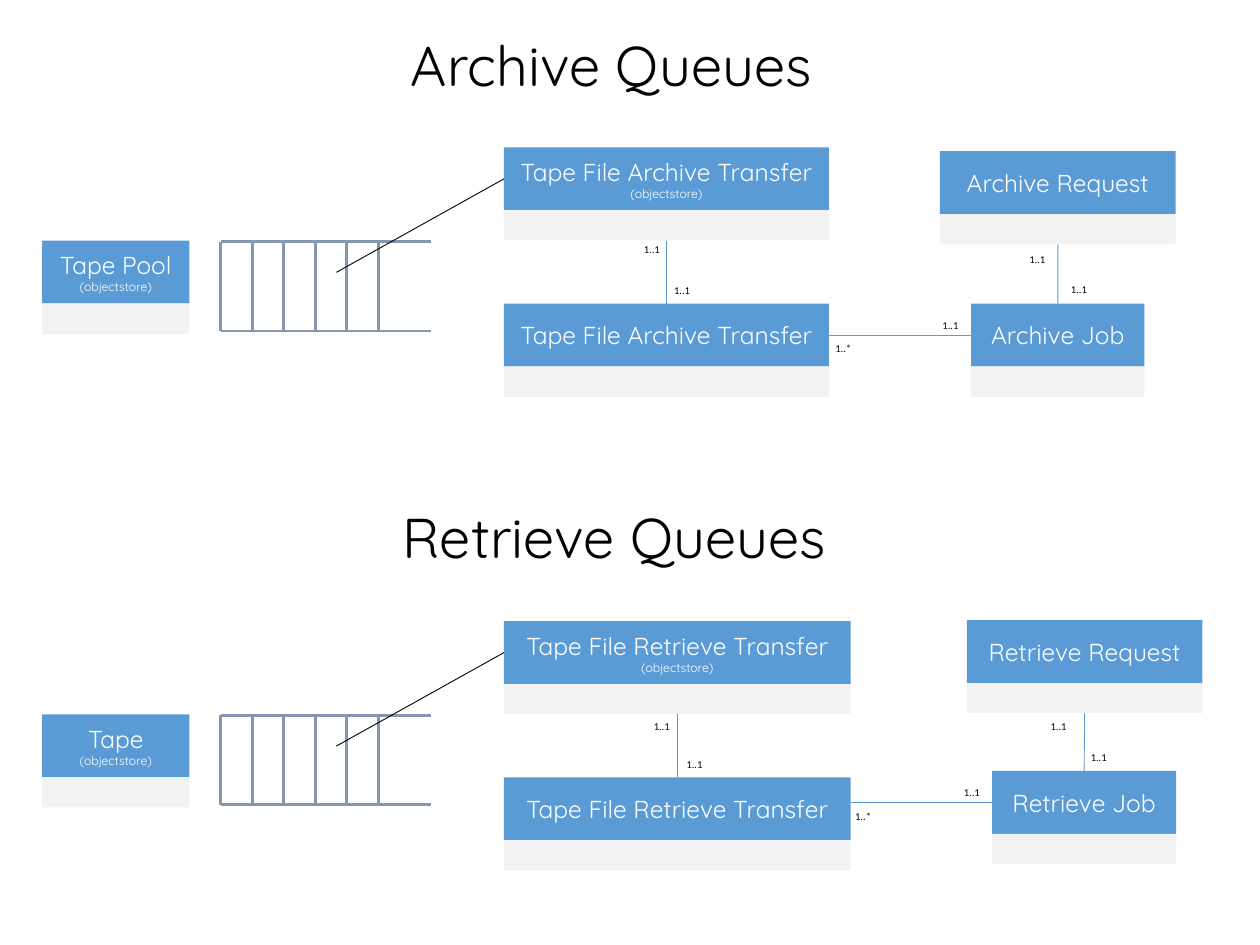
from dataclasses import dataclass

from lxml import etree
from pptx import Presentation
from pptx import util as u
from pptx.dml.color import RGBColor
from pptx.enum import shapes, text
from pptx.oxml.ns import qn

BLACK = RGBColor(0x00, 0x00, 0x00)
WHITE = RGBColor(0xFF, 0xFF, 0xFF)
BLUE = RGBColor(0x5B, 0x9B, 0xD5)
PALE = RGBColor(0xF2, 0xF2, 0xF2)
SLATE = RGBColor(0x84, 0x97, 0xB0)
HEADING_FONT, LABEL_FONT = "Quicksand", "Calibri"

# All lengths are in centimetres
HEAD_HEIGHT, BODY_HEIGHT = 1.27, 0.61
POOL_LEFT, POOL_WIDTH = 0.85, 2.97
TRANSFER_LEFT, REQUEST_WIDTH = 10.16, 4.75
QUEUE_LEFT, QUEUE_WIDTH, QUEUE_HEIGHT = 4.45, 4.24, 1.8
SLOT_WIDTH, SLOT_LINES = 0.635, 6


@dataclass
class Section:
    kind: str
    pool: str
    title_box: tuple      # left, top, width
    top: float            # top of the stored transfer
    transfer_width: float
    request: tuple        # left, top
    job: tuple            # left, top, width
    labels: list          # wording, left, top


SECTIONS = [
    Section("Archive", "Tape Pool", (8.03, 0.48, 9.35), 2.97, 6.55,
            (18.95, 3.05), (19.58, 6.12, 3.49),
            [("1..1", 12.73, 4.78), ("1..1", 13.34, 5.61),
             ("1..1", 18.75, 6.3), ("1..*", 16.59, 6.78),
             ("1..1", 21.34, 5.59), ("1..1", 20.5, 4.98)]),
    Section("Retrieve", "Tape", (7.87, 10.01, 9.63), 12.52, 6.99,
            (19.49, 12.5), (20, 15.54, 3.71),
            [("1..1", 12.93, 14.4), ("1..1", 13.59, 15.16),
             ("1..1", 19.18, 15.72), ("1..*", 16.99, 16.21),
             ("1..1", 21.74, 15.01), ("1..1", 20.93, 14.4)]),
]


def add_span(para, wording, size, font, color):
    span = para.add_run()
    span.text = wording
    span.font.size = u.Pt(size)
    span.font.name = font
    span.font.color.rgb = color


def fill_text(box, wording, size, font):
    """Write one left-aligned line in a box that grows with its text."""
    frame = box.text_frame
    frame.word_wrap = False
    frame.auto_size = text.MSO_AUTO_SIZE.SHAPE_TO_FIT_TEXT
    para = frame.paragraphs[0]
    para.alignment = text.PP_ALIGN.LEFT
    add_span(para, wording, size, font, BLACK)


def add_text(page, wording, left, top, width, height, size, font):
    box = page.shapes.add_textbox(u.Cm(left), u.Cm(top), u.Cm(width), u.Cm(height))
    fill_text(box, wording, size, font)


def add_title(page, section):
    left, top, width = section.title_box
    wording, height = f"{section.kind} Queues", 1.63
    title = page.shapes.title
    if title.text_frame.text:  # the title placeholder is already taken
        add_text(page, wording, left, top, width, height, 32, HEADING_FONT)
        return
    title.left, title.top = u.Cm(left), u.Cm(top)
    title.width, title.height = u.Cm(width), u.Cm(height)
    fill_text(title, wording, 32, HEADING_FONT)


def add_line(page, start, end, color, width):
    line = page.shapes.add_connector(
        shapes.MSO_CONNECTOR.STRAIGHT, *(u.Cm(value) for value in (*start, *end)))
    line.line.color.rgb = color
    line.line.width = u.Pt(width)
    etree.SubElement(line._element.spPr, qn("a:effectLst"))
    return line


def join(page, first, first_side, second, second_side):
    line = add_line(page, (0, 0), (1, 1), BLUE, 0.5)
    line.begin_connect(first, first_side)
    line.end_connect(second, second_side)


def add_rect(page, left, top, width, height, color):
    rect = page.shapes.add_shape(
        shapes.MSO_SHAPE.RECTANGLE, u.Cm(left), u.Cm(top), u.Cm(width), u.Cm(height))
    rect.shadow.inherit = False
    rect.fill.solid()
    rect.fill.fore_color.rgb = color
    rect.line.fill.background()
    return rect


def add_entity(page, name, left, top, width, stored=False):
    """Draw a class box and return its head and body."""
    head = add_rect(page, left, top, width, HEAD_HEIGHT, BLUE)
    body = add_rect(page, left, top + HEAD_HEIGHT, width, BODY_HEIGHT, PALE)
    frame = head.text_frame
    frame.word_wrap = True
    frame.vertical_anchor = text.MSO_ANCHOR.MIDDLE
    para = frame.paragraphs[0]
    para.alignment = text.PP_ALIGN.CENTER
    add_span(para, name, 14, HEADING_FONT, WHITE)
    if stored:
        para = frame.add_paragraph()
        para.alignment = text.PP_ALIGN.CENTER
        add_span(para, "(objectstore)", 7, HEADING_FONT, WHITE)
    return head, body


def add_queue(page, top):
    bottom = top + QUEUE_HEIGHT
    for y in (top, bottom):
        add_line(page, (QUEUE_LEFT, y), (QUEUE_LEFT + QUEUE_WIDTH, y), SLATE, 1.5)
    for slot in range(SLOT_LINES):
        x = QUEUE_LEFT + slot * SLOT_WIDTH
        add_line(page, (x, top), (x, bottom), SLATE, 1.5)


def add_section(page, section):
    kind, top, width = section.kind, section.top, section.transfer_width
    transfer_top = top + 3.15
    job_left, job_top, job_width = section.job
    add_title(page, section)
    add_queue(page, top + 1.9)

    # Class boxes
    add_entity(page, section.pool, POOL_LEFT, top + 1.88, POOL_WIDTH, stored=True)
    transfer_name = f"Tape File {kind} Transfer"
    stored, stored_body = add_entity(
        page, transfer_name, TRANSFER_LEFT, top, width, stored=True)
    transfer, _ = add_entity(page, transfer_name, TRANSFER_LEFT, transfer_top, width)
    job, _ = add_entity(page, f"{kind} Job", job_left, job_top, job_width)
    _, request_body = add_entity(
        page, f"{kind} Request", *section.request, REQUEST_WIDTH)

    # Relations
    pointer = add_line(page, (TRANSFER_LEFT, top + HEAD_HEIGHT / 2),
                       (6.78, top + 2.52), BLACK, 0.5)
    pointer.begin_connect(stored, 1)
    join(page, stored_body, 2, transfer, 0)
    join(page, job, 0, request_body, 2)
    job_middle = job_top + HEAD_HEIGHT / 2
    link = add_line(page, (TRANSFER_LEFT + width, job_middle),
                    (job_left, job_middle), BLUE, 0.5)
    if transfer.top == job.top:
        link.begin_connect(transfer, 3)
    link.end_connect(job, 1)

    # Multiplicities
    for wording, x, y in section.labels:
        add_text(page, wording, x, y, 0.84, 0.51, 6, LABEL_FONT)


def main():
    deck = Presentation()
    deck.slide_width, deck.slide_height = u.Cm(25.4), u.Cm(19.05)
    page = deck.slides.add_slide(deck.slide_layouts.get_by_name("Title Only"))
    for section in SECTIONS:
        add_section(page, section)
    deck.save("out.pptx")


if __name__ == "__main__":
    main()
